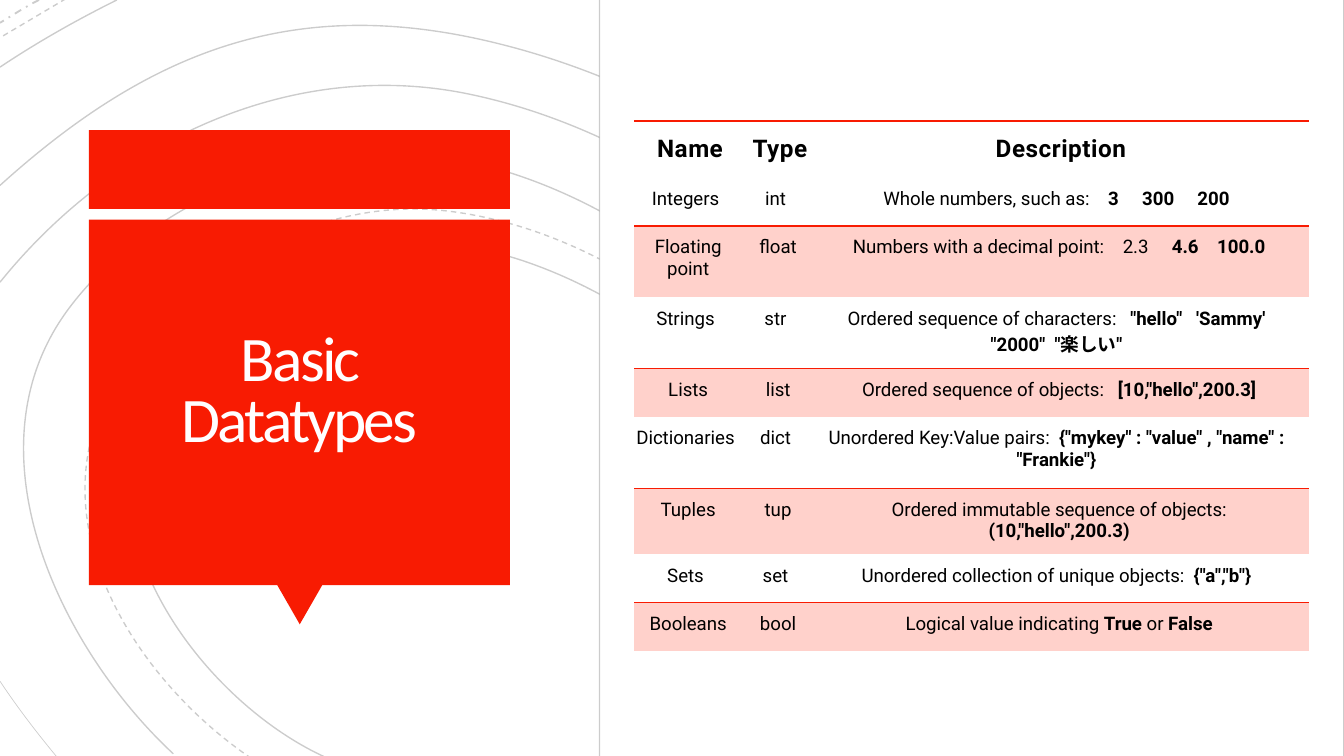
from dataclasses import dataclass

from lxml.etree import SubElement
from pptx import Presentation
from pptx.dml.color import RGBColor
from pptx.enum.dml import MSO_LINE
from pptx.enum.shapes import MSO_SHAPE
from pptx.enum.text import MSO_ANCHOR, PP_ALIGN
from pptx.oxml.ns import qn
from pptx.util import Cm, Pt

RED, PINK, WHITE, BLACK = "F81B02", "FFD1CB", "FFFFFF", "000000"
SOLID, DASH, DASH_DOT = MSO_LINE.SOLID, MSO_LINE.DASH, MSO_LINE.DASH_DOT
HUNDREDTH_INCH = Cm(2.54) / 100

CURVES = [
    (0.75, SOLID, [(657, 563), (769, 469), (626, 306), (554, 236), (487, 172), (402, 123), (309, 114),
                   (215, 106), (106, 156), (51, 230), (-27, 335), (45, 483), (129, 561)]),
    (0.75, SOLID, [(455, 562), (533, 545), (660, 500), (618, 396), (580, 299), (461, 208), (360, 186),
                   (268, 165), (162, 211), (114, 294), (55, 393), (150, 521), (241, 563)]),
    (0.75, DASH, [(529, 563), (574, 547), (626, 522), (650, 479), (680, 426), (648, 371), (613, 330),
                  (542, 247), (444, 170), (332, 157), (239, 146), (144, 200), (91, 276),
                  (21, 378), (95, 501), (185, 563)]),
    (0.75, SOLID, [(731, 563), (848, 453), (712, 310), (628, 229), (549, 154), (452, 90), (344, 69),
                   (213, 44), (83, 107), (0, 210)]),
    (0.38, SOLID, [(0, 507), (14, 528), (28, 546), (42, 563)]),
    (0.75, SOLID, [(799, 563), (910, 446), (800, 316), (708, 230), (613, 142), (500, 65), (373, 33),
                   (223, -5), (114, 35), (0, 138)]),
    (0.75, SOLID, [(87, 0), (59, 14), (30, 30), (0, 50)]),
    (0.75, DASH, [(49, -1), (34, 8), (17, 18), (0, 28)]),
    (1, DASH_DOT, [(29, 0), (19, 5), (10, 11), (0, 17)]),
]


@dataclass
class Run:
    """A piece of text with its weight and letter spacing in points."""

    text: str
    bold: bool = False
    spacing: float = 0


def bold(text):
    """Return a bold run."""
    return Run(text, True)


def gap(points):
    """Return one space widened by the given points."""
    return Run(" ", spacing=points)


def colour(value):
    """Return the colour for a hex string."""
    return RGBColor.from_string(value)


DATATYPES = [
    ("Integers", "int", [Run("Whole numbers, such as:"), gap(7.5), bold("3"), gap(10), bold("300"),
                         gap(10), bold("200")]),
    ("Floating point", "float", [Run("Numbers with a decimal point:"), gap(7.5), Run("2.3"), gap(10),
                                 bold("4.6"), gap(7.5), bold("100.0")]),
    ("Strings", "str", [Run("Ordered sequence of characters:"), gap(5), bold('"hello"'), gap(5),
                        bold("'Sammy'"), gap(5), bold('"2000"'), gap(2.5), bold('"楽しい"')]),
    ("Lists", "list", [Run("Ordered sequence of objects:"), gap(5), bold('[10,"hello",200.3]')]),
    ("Dictionaries", "dict", [Run("Unordered Key:Value pairs:"), gap(2.5),
                              bold('{"mykey" : "value" , "name" : "Frankie"}')]),
    ("Tuples", "tup", [Run("Ordered immutable sequence of objects: "), bold('(10,"hello",200.3)')]),
    ("Sets", "set", [Run("Unordered collection of unique objects:"), gap(2.5), bold('{"a","b"}')]),
    ("Booleans", "bool", [Run("Logical value indicating "), bold("True "), Run("or "), bold("False")]),
]


@dataclass
class SlideBuilder:
    """Hold the fonts and the current slide, and add elements to it."""

    slide: object
    title_font: str = "Calibri"
    table_font: str = "Roboto"

    def outline(self, shape, width, dash=SOLID):
        """Give a shape a faint black line."""
        shape.line.color.rgb = colour(BLACK)
        shape.line.width = Pt(width)
        shape.line.dash_style = dash
        tint = next(shape._element.spPr.find(qn("a:ln")).iter(qn("a:srgbClr")))
        SubElement(tint, qn("a:alpha"), val="20000")

    def curve(self, width, dash, points):
        """Add an open Bézier curve from its start and control points."""
        builder = self.slide.shapes.build_freeform(*points[0], scale=HUNDREDTH_INCH)
        builder.add_line_segments(points[1:], close=False)
        shape = builder.convert_to_shape()
        shape.shadow.inherit = False
        shape.fill.background()
        self.outline(shape, width, dash)
        route = next(shape._element.iter(qn("a:path")))
        segments = list(route.iter(qn("a:lnTo")))
        for start in range(0, len(segments), 3):
            bezier = SubElement(route, qn("a:cubicBezTo"))
            for segment in segments[start:start + 3]:
                bezier.append(segment[0])
                route.remove(segment)

    def block(self, kind, left, top, width, height, fill):
        """Add a filled preset shape without a line."""
        shape = self.slide.shapes.add_shape(kind, Cm(left), Cm(top), Cm(width), Cm(height))
        shape.shadow.inherit = False
        shape.fill.solid()
        shape.fill.fore_color.rgb = colour(fill)
        shape.line.fill.background()
        return shape

    def add_runs(self, paragraph, runs, font, size, hex_colour):
        """Fill a paragraph with centred runs."""
        paragraph.alignment = PP_ALIGN.CENTER
        for piece in runs:
            run = paragraph.add_run()
            run.text = piece.text
            run.font.name = font
            run.font.size = Pt(size)
            run.font.bold = piece.bold
            run.font.color.rgb = colour(hex_colour)
            if piece.spacing:
                run._r.get_or_add_rPr().set("spc", str(int(piece.spacing * 100)))

    def title(self, text, left, top, width, height):
        """Add the bottom-anchored title."""
        frame = self.slide.shapes.add_textbox(Cm(left), Cm(top), Cm(width), Cm(height)).text_frame
        frame.word_wrap = True
        frame.vertical_anchor = MSO_ANCHOR.BOTTOM
        frame.margin_left = frame.margin_top = frame.margin_right = Cm(0.64)
        frame.margin_bottom = 0
        frame.paragraphs[0].line_spacing = 0.8
        self.add_runs(frame.paragraphs[0], [Run(text, spacing=-1.5)], self.title_font, 34, "FFFEFF")

    def borders(self, cell, widths):
        """Draw the given sides of a cell in red and clear the others."""
        properties = cell._tc.get_or_add_tcPr()
        for side in ("lnL", "lnR", "lnT", "lnB"):
            if side in widths:
                line = SubElement(properties, qn(f"a:{side}"), w=str(Pt(widths[side])))
                fill = SubElement(line, qn("a:solidFill"))
                SubElement(fill, qn("a:srgbClr"), val=RED)
            else:
                SubElement(SubElement(properties, qn(f"a:{side}"), w="0"), qn("a:noFill"))

    def cell(self, cell, row, runs):
        """Style and fill one cell according to its row."""
        header, shaded = row == 0, row > 0 and row % 2 == 0
        cell.margin_left = Cm(0.1 if shaded else 0)
        cell.margin_right = Cm(0.03 if header else 0.2)
        cell.margin_top = cell.margin_bottom = Cm(0.2)
        cell.vertical_anchor = MSO_ANCHOR.MIDDLE if header else MSO_ANCHOR.TOP
        self.borders(cell, {"lnT": 1.5} if header else {"lnT": 0.75} if shaded else {"lnB": 0.75})
        if shaded:
            cell.fill.solid()
            cell.fill.fore_color.rgb = colour(PINK)
        else:
            cell.fill.background()
        self.add_runs(cell.text_frame.paragraphs[0], runs, self.table_font, 13 if header else 10, BLACK)

    def table(self, left, top, widths, heights, rows):
        """Add a table whose rows are lists of cell runs."""
        table = self.slide.shapes.add_table(len(rows), len(widths), Cm(left), Cm(top),
                                            Cm(sum(widths)), Cm(sum(heights))).table
        table.horz_banding = False
        for column, width in zip(table.columns, widths):
            column.width = Cm(width)
        for index, (height, row) in enumerate(zip(heights, rows)):
            table.rows[index].height = Cm(height)
            for column, runs in enumerate(row):
                self.cell(table.cell(index, column), index, runs)


def main():
    """Build the slide and save it."""
    presentation = Presentation()
    presentation.slide_width, presentation.slide_height = Cm(25.4), Cm(14.29)
    builder = SlideBuilder(presentation.slides.add_slide(presentation.slide_layouts[6]))
    for width, dash, points in CURVES:
        builder.curve(width, dash, points)
    builder.block(MSO_SHAPE.RECTANGLE, 1.68, 2.46, 7.96, 1.49, RED)
    pointer = builder.block(MSO_SHAPE.ISOSCELES_TRIANGLE, 5.24, 11.06, 0.85, 0.74, RED)
    pointer.rotation = 180
    builder.block(MSO_SHAPE.RECTANGLE, 1.68, 4.15, 7.96, 6.91, RED)
    builder.title("Basic Datatypes", 1.85, 4.32, 7.62, 4.27)
    panel = builder.block(MSO_SHAPE.RECTANGLE, 11.33, -0.02, 14.07, 14.33, WHITE)
    builder.outline(panel, 0.75)
    header = [[Run(text, True, 0.3)] for text in ("Name", "Type", "Description")]
    body = [[[Run(name)], [Run(kind)], description] for name, kind, description in DATATYPES]
    heights = [1.07, 0.91, 1.35, 1.35, 0.91, 1.35, 0.91, 0.91, 0.91]
    builder.table(11.99, 2.29, [2.13, 1.27, 9.35], heights, [header] + body)
    presentation.save("out.pptx")


if __name__ == "__main__":
    main()
